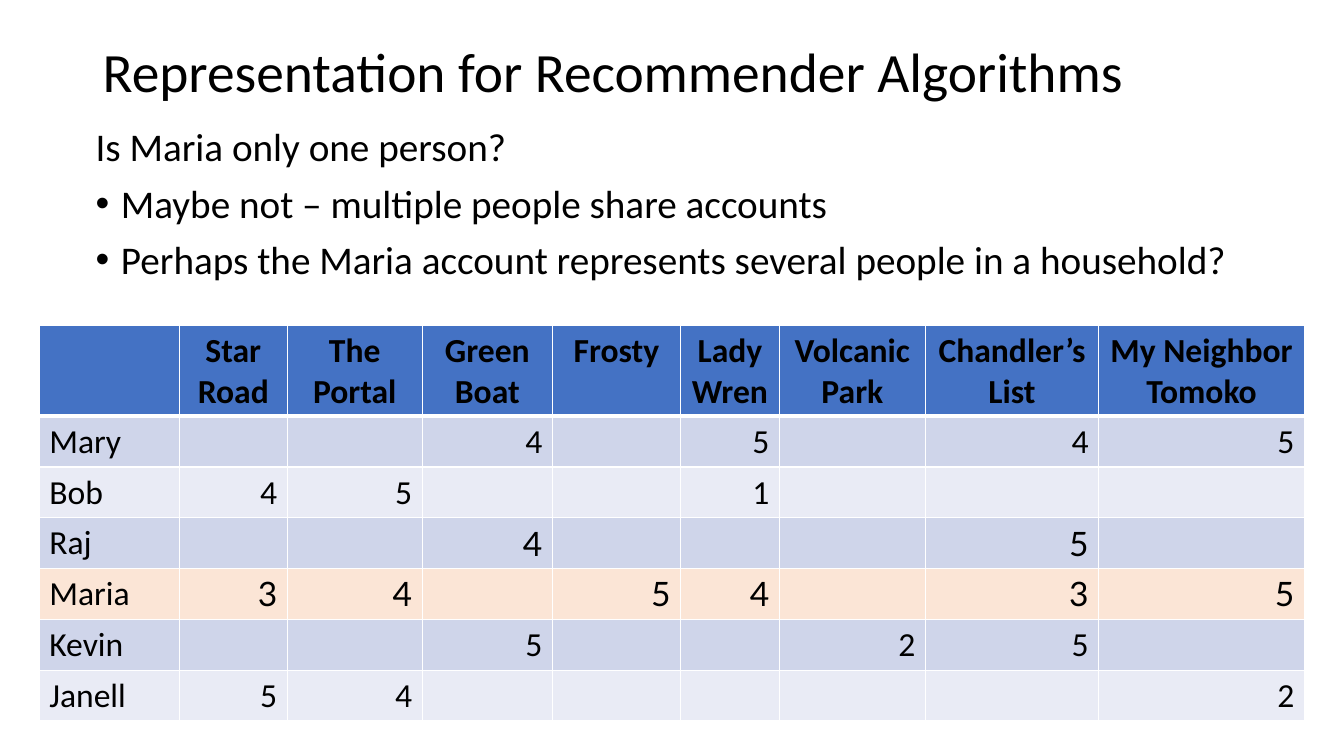
from dataclasses import dataclass

from lxml import etree
from pptx import Presentation
from pptx.dml.color import RGBColor
from pptx.enum.text import MSO_ANCHOR, PP_ALIGN
from pptx.oxml.ns import qn
from pptx.util import Cm, Pt

LEFT, CENTER, RIGHT = PP_ALIGN.LEFT, PP_ALIGN.CENTER, PP_ALIGN.RIGHT
TOP, MIDDLE = MSO_ANCHOR.TOP, MSO_ANCHOR.MIDDLE


@dataclass(frozen=True)
class Theme:
    text: str = "000000"
    header: str = "4472C4"
    band_dark: str = "CFD5EA"
    band_light: str = "E9EBF5"
    highlight: str = "FBE5D6"
    border: str = "FFFFFF"
    font: str = "Calibri"
    rating_font: str = "Lato"
    title_size: float = 39.6
    body_size: float = 28
    table_size: float = 24


theme = Theme()


def style(paragraph, size, name=theme.font, bold=False):
    paragraph.font.name = name
    paragraph.font.size = Pt(size)
    paragraph.font.bold = bold
    paragraph.font.color.rgb = RGBColor.from_string(theme.text)


def add_border(cell, side, width):
    line = etree.SubElement(cell._tc.get_or_add_tcPr(), qn(f"a:{side}"), w=str(Pt(width)))
    fill = etree.SubElement(line, qn("a:solidFill"))
    etree.SubElement(fill, qn("a:srgbClr"), val=theme.border)


prs = Presentation()
prs.slide_width, prs.slide_height = Cm(33.87), Cm(19.05)
slide = prs.slides.add_slide(prs.slide_layouts[6])

title = slide.shapes.add_textbox(Cm(2.34), Cm(1.02), Cm(29.21), Cm(1.73)).text_frame
title.word_wrap = True
title.vertical_anchor = MIDDLE
title.text = "Representation for Recommender Algorithms"
title.paragraphs[0].line_spacing = 0.9
style(title.paragraphs[0], theme.title_size)

discussion = slide.shapes.add_textbox(Cm(2.16), Cm(3.1), Cm(29.21), Cm(5)).text_frame
discussion.word_wrap = True
discussion.vertical_anchor = TOP
discussion.text = "\n".join([
    "Is Maria only one person?",
    "Maybe not – multiple people share accounts",
    "Perhaps the Maria account represents several people in a household?",
])
for paragraph in discussion.paragraphs:
    paragraph.line_spacing = 0.9
    paragraph.space_before = Pt(10)
    style(paragraph, theme.body_size)
for answer in discussion.paragraphs[1:]:
    properties = answer._p.get_or_add_pPr()
    properties.set("marL", str(Cm(0.64)))
    properties.set("indent", str(Cm(-0.64)))
    bullet_font = etree.Element(qn("a:buFont"), typeface="Arial")
    bullet = etree.Element(qn("a:buChar"), char="•")
    defaults = properties.find(qn("a:defRPr"))
    defaults.addprevious(bullet_font)
    defaults.addprevious(bullet)

ratings = [
    ["", "Star Road", "The Portal", "Green Boat", "Frosty", "Lady Wren",
     "Volcanic Park", "Chandler’s List", "My Neighbor\nTomoko"],
    ["Mary", "", "", "4", "", "5", "", "4", "5"],
    ["Bob", "4", "5", "", "", "1", "", "", ""],
    ["Raj", "", "", "4", "", "", "", "5", ""],
    ["Maria", "3", "4", "", "5", "4", "", "3", "5"],
    ["Kevin", "", "", "5", "", "", "2", "5", ""],
    ["Janell", "5", "4", "", "", "", "", "", "2"],
]
column_widths = [3.53, 2.72, 3.4, 3.28, 3.23, 2.49, 3.68, 4.37, 5.18]
header_height, row_height = 2.29, 1.28

table = slide.shapes.add_table(
    len(ratings), len(column_widths), Cm(0.99), Cm(8.2),
    Cm(sum(column_widths)), Cm(header_height + row_height * (len(ratings) - 1)),
).table
table.first_row = table.horz_banding = False
for column, width in zip(table.columns, column_widths):
    column.width = Cm(width)

for r, viewer in enumerate(ratings):
    is_header = r == 0
    table.rows[r].height = Cm(header_height if is_header else row_height)
    if is_header:
        row_fill = theme.header
    elif viewer[0] == "Maria":
        row_fill = theme.highlight
    else:
        row_fill = theme.band_dark if r % 2 else theme.band_light

    for c, entry in enumerate(viewer):
        cell = table.cell(r, c)
        cell.text = entry
        for side in ("lnL", "lnR", "lnT", "lnB"):
            header_edge = (r, side) in ((0, "lnB"), (1, "lnT"))
            add_border(cell, side, 3 if header_edge else 1)
        cell.fill.solid()
        cell.fill.fore_color.rgb = RGBColor.from_string(row_fill)
        in_lato = c > 0 and viewer[0] in ("Raj", "Maria")
        for paragraph in cell.text_frame.paragraphs:
            paragraph.alignment = CENTER if is_header else RIGHT if c else LEFT
            style(paragraph, theme.table_size,
                  theme.rating_font if in_lato else theme.font, is_header)

prs.save("out.pptx")
